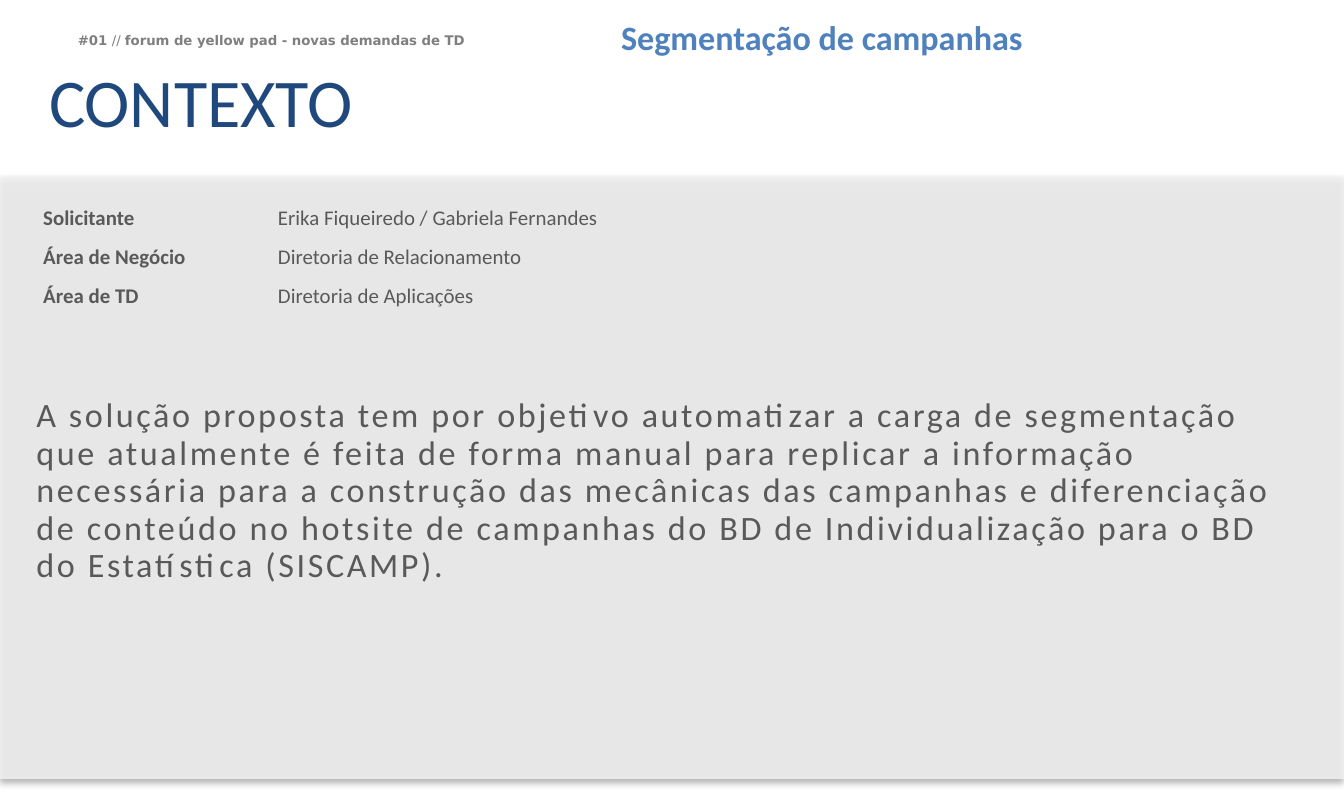
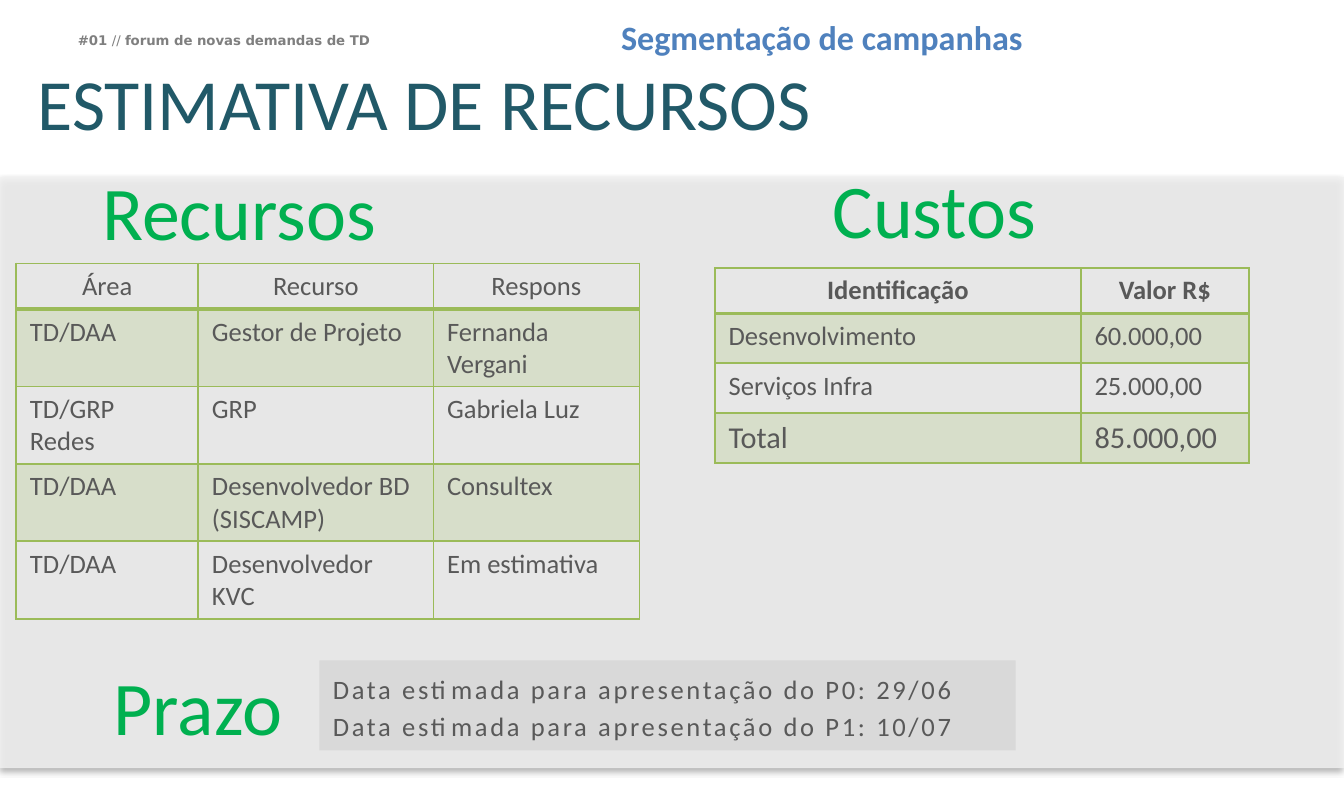
from dataclasses import dataclass

from lxml import etree
from pptx import Presentation
from pptx.dml.color import RGBColor
from pptx.enum.shapes import MSO_SHAPE
from pptx.enum.text import MSO_ANCHOR, MSO_AUTO_SIZE, PP_ALIGN
from pptx.oxml.ns import qn
from pptx.util import Pt

RECT = MSO_SHAPE.RECTANGLE
TOP, MIDDLE = MSO_ANCHOR.TOP, MSO_ANCHOR.MIDDLE
LEFT, CENTER = PP_ALIGN.LEFT, PP_ALIGN.CENTER
FIT, FIXED = MSO_AUTO_SIZE.SHAPE_TO_FIT_TEXT, MSO_AUTO_SIZE.NONE
NO_STYLE = "{2D5ABB26-0587-4C30-8999-92F81FD0307C}"


@dataclass(frozen=True)
class Theme:
    width: float = 708.75
    height: float = 425.25
    font: str = "Calibri"
    tag_font: str = "DejaVu Sans"
    # Colours
    band: str = "F2F2F2"
    panel: str = "D9D9D9"
    tag: str = "7F7F7F"
    text: str = "595959"
    navy: str = "1F497D"
    teal: str = "215968"
    blue: str = "4F81BD"
    green: str = "00B050"
    grid: str = "9BBB59"
    shadow: str = "000000"
    # Type sizes
    tag_size: float = 7
    label_size: float = 11
    cell_size: float = 14
    total_size: float = 16
    body_size: float = 18
    title_size: float = 36
    wide_title_size: float = 38
    heading_size: float = 40
    # Spacing
    leading: float = 19.8
    tracking: float = 1.4


def set_alpha(parent, percent):
    color = parent.find(qn("a:solidFill"))[0]
    etree.SubElement(color, qn("a:alpha"), val=str(percent * 1000))


class Deck:
    def __init__(self, theme):
        self.theme = theme
        self.prs = Presentation()
        self.prs.slide_width = Pt(theme.width)
        self.prs.slide_height = Pt(theme.height)
        self.slide = None

    # Text
    def run(self, p, text, size, color, bold=False, font=None, tracking=0):
        r = p.add_run()
        r.text = text
        r.font.name = font or self.theme.font
        r.font.size = Pt(size)
        r.font.bold = bold
        r.font.color.rgb = RGBColor.from_string(color)
        if tracking:
            r.font._element.set("spc", str(round(tracking * 100)))

    def frame(self, s, insets=(7.2, 3.6), wrap=True, fit=False):
        tf = s.text_frame
        tf.margin_left = tf.margin_right = Pt(insets[0])
        tf.margin_top = tf.margin_bottom = Pt(insets[1])
        tf.word_wrap = wrap
        tf.auto_size = FIT if fit else FIXED
        tf.vertical_anchor = TOP
        return tf

    def box(self, x, y, w, h, **options):
        s = self.slide.shapes.add_textbox(Pt(x), Pt(y), Pt(w), Pt(h))
        return self.frame(s, **options)

    def heading(self, text, x, y, w, h, size, color, spacing, align=LEFT):
        p = self.box(x, y, w, h, insets=(0, 0)).paragraphs[0]
        p.line_spacing, p.alignment = spacing, align
        self.run(p, text, size, color)

    def section(self, text, x, y, align=LEFT):
        t = self.theme
        self.heading(text, x, y, 160, 39.6, t.heading_size, t.green, 0.8, align)

    def spaced_lines(self, tf, lines, size):
        t = self.theme
        for i, line in enumerate(lines):
            p = tf.add_paragraph() if i else tf.paragraphs[0]
            p.line_spacing, p.alignment = Pt(t.leading), LEFT
            self.run(p, line, size, t.text, tracking=t.tracking)

    def body(self, text, x, y, w, h):
        tf = self.box(x, y, w, h, insets=(5, 2.9), fit=True)
        self.spaced_lines(tf, [text], self.theme.body_size)

    # Shapes
    def rect(self, x, y, w, h, color):
        s = self.slide.shapes.add_shape(RECT, Pt(x), Pt(y), Pt(w), Pt(h))
        s.fill.solid()
        s.fill.fore_color.rgb = RGBColor.from_string(color)
        s.line.fill.background()
        s.shadow.inherit = False
        return s

    def band(self, height):
        t = self.theme
        spPr = self.rect(0, 93.5, t.width, height, t.band).element.spPr
        set_alpha(spPr, 83)
        shadow = etree.SubElement(
            spPr.find(qn("a:effectLst")), qn("a:outerShdw"),
            blurRad=str(Pt(3.1)), dist=str(Pt(1.8)), dir="5400000", rotWithShape="0")
        color = etree.SubElement(shadow, qn("a:srgbClr"), val=t.shadow)
        etree.SubElement(color, qn("a:alpha"), val="35000")

    def panel(self, lines, x, y, w, h):
        s = self.rect(x, y, w, h, self.theme.panel)
        self.spaced_lines(self.frame(s, fit=True), lines, self.theme.cell_size)

    # Slide with shared header and band
    def new_slide(self, tag, tag_width, title, title_x, title_size, title_color, band_height):
        t = self.theme
        self.slide = self.prs.slides.add_slide(self.prs.slide_layouts[6])
        self.band(band_height)
        tf = self.box(34.6, 14, tag_width, 15.1, insets=(6.5, 2.9), wrap=False, fit=True)
        for text, bold in (("#01 ", True), ("// ", False), (tag, True)):
            self.run(tf.paragraphs[0], text, t.tag_size, t.tag, bold, t.tag_font)
        self.heading(title, title_x, 43.2, 471, 33.1, title_size, title_color, 0.7)
        p = self.box(320.4, 8.6, 298, 25.9, wrap=False, fit=True).paragraphs[0]
        p.line_spacing = 0.85
        self.run(p, "Segmentação de campanhas", t.body_size, t.blue, True)

    # Tables
    def grid(self, x, y, cols, heights, rows):
        s = self.slide.shapes.add_table(
            len(rows), len(cols), Pt(x), Pt(y), Pt(sum(cols)), Pt(sum(heights)))
        table = s.table
        table.first_row = table.horz_banding = False
        next(s.element.iter(qn("a:tableStyleId"))).text = NO_STYLE
        for column, width in zip(table.columns, cols):
            column.width = Pt(width)
        for row, height in zip(table.rows, heights):
            row.height = Pt(height)
        for i, values in enumerate(rows):
            for j, text in enumerate(values):
                yield i, j, text, table.cell(i, j)

    def labels(self, x, y, cols, row_height, rows):
        t = self.theme
        for _, j, text, cell in self.grid(x, y, cols, [row_height] * len(rows), rows):
            cell.fill.background()
            cell.vertical_anchor = MIDDLE
            self.run(cell.text_frame.paragraphs[0], text, t.label_size, t.text, j == 0)

    def border(self, cell, side, width):
        ln = etree.SubElement(cell._tc.get_or_add_tcPr(), qn("a:ln" + side), w=str(Pt(width)))
        fill = etree.SubElement(ln, qn("a:solidFill"))
        etree.SubElement(fill, qn("a:srgbClr"), val=self.theme.grid)

    def estimate(self, x, y, cols, row_height, rows, bold_header=False, last_size=None):
        t = self.theme
        heights = [24] + [row_height] * (len(rows) - 1)
        for i, _, text, cell in self.grid(x, y, cols, heights, rows):
            header = i == 0
            for side in "LRTB":
                thick = (i, side) in ((0, "B"), (1, "T"))
                self.border(cell, side, 2 if thick else 1)
            if i % 2:
                cell.fill.solid()
                cell.fill.fore_color.rgb = RGBColor.from_string(t.grid)
                set_alpha(cell._tc.tcPr, 20)
            else:
                cell.fill.background()
            p = cell.text_frame.paragraphs[0]
            p.alignment = CENTER if header else LEFT
            last = i == len(rows) - 1
            size = last_size if last and last_size else t.cell_size
            self.run(p, text, size, t.text, header and bold_header)


def main():
    t = Theme()
    deck = Deck(t)

    # Context
    deck.new_slide("forum de yellow pad - novas demandas de TD", 221, "CONTEXTO",
                   25.9, t.title_size, t.navy, 317.5)
    deck.labels(15.6, 104.9, [123.8, 226.1], 20.4, [
        ("Solicitante", "Erika Fiqueiredo / Gabriela Fernandes"),
        ("Área de Negócio", "Diretoria de Relacionamento"),
        ("Área de TD", "Diretoria de Aplicações"),
    ])
    deck.body("A solução proposta tem por objetivo automatizar a carga de segmentação "
              "que atualmente é feita de forma manual para replicar a informação "
              "necessária para a construção das mecânicas das campanhas e diferenciação "
              "de conteúdo no hotsite de campanhas do BD de Individualização para o BD "
              "do Estatística (SISCAMP).", 14.2, 206.6, 674.6, 105.8)

    # Resources, costs and deadline
    deck.new_slide("forum de novas demandas de TD", 170, "ESTIMATIVA DE RECURSOS",
                   19.8, t.wide_title_size, t.teal, 311.8)
    deck.section("Custos", 439.2, 95)
    deck.estimate(377, 141.3, [193, 88.6], 26.3, [
        ("Identificação", "Valor R$"),
        ("Desenvolvimento", "60.000,00"),
        ("Serviços Infra", "25.000,00"),
        ("Total", "85.000,00"),
    ], bold_header=True, last_size=t.total_size)
    deck.section("Recursos", 54, 96.2)
    deck.estimate(8.6, 139, [96, 124, 108.7], 40.8, [
        ("Área", "Recurso", "Respons"),
        ("TD/DAA", "Gestor de Projeto", "Fernanda Vergani"),
        ("TD/GRP Redes", "GRP", "Gabriela Luz"),
        ("TD/DAA", "Desenvolvedor BD (SISCAMP)", "Consultex"),
        ("TD/DAA", "Desenvolvedor KVC", "Em estimativa"),
    ])
    deck.panel(["Data estimada para apresentação do P0: 29/06",
                "Data estimada para apresentação do P1: 10/07"], 168.5, 348.5, 367.2, 47.5)
    deck.section("Prazo", 24.5, 357.1, CENTER)

    deck.prs.save("out.pptx")


if __name__ == "__main__":
    main()
